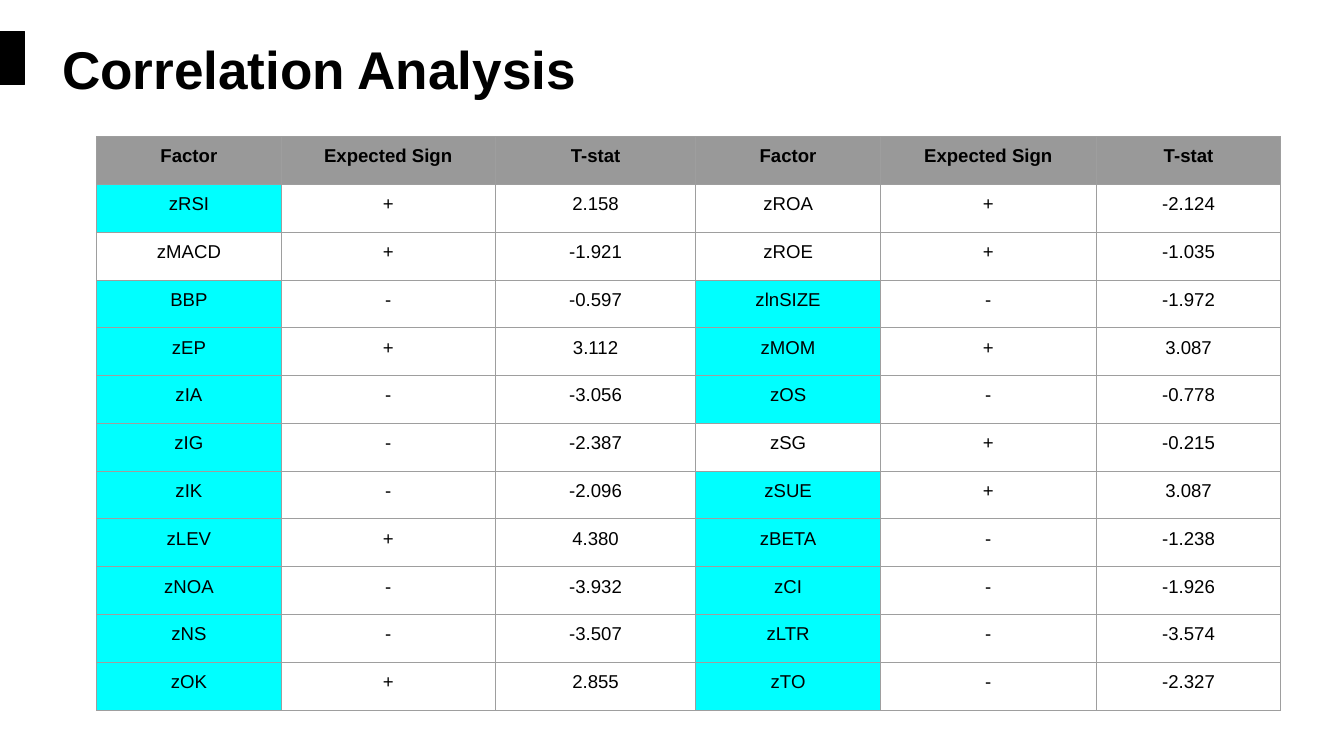
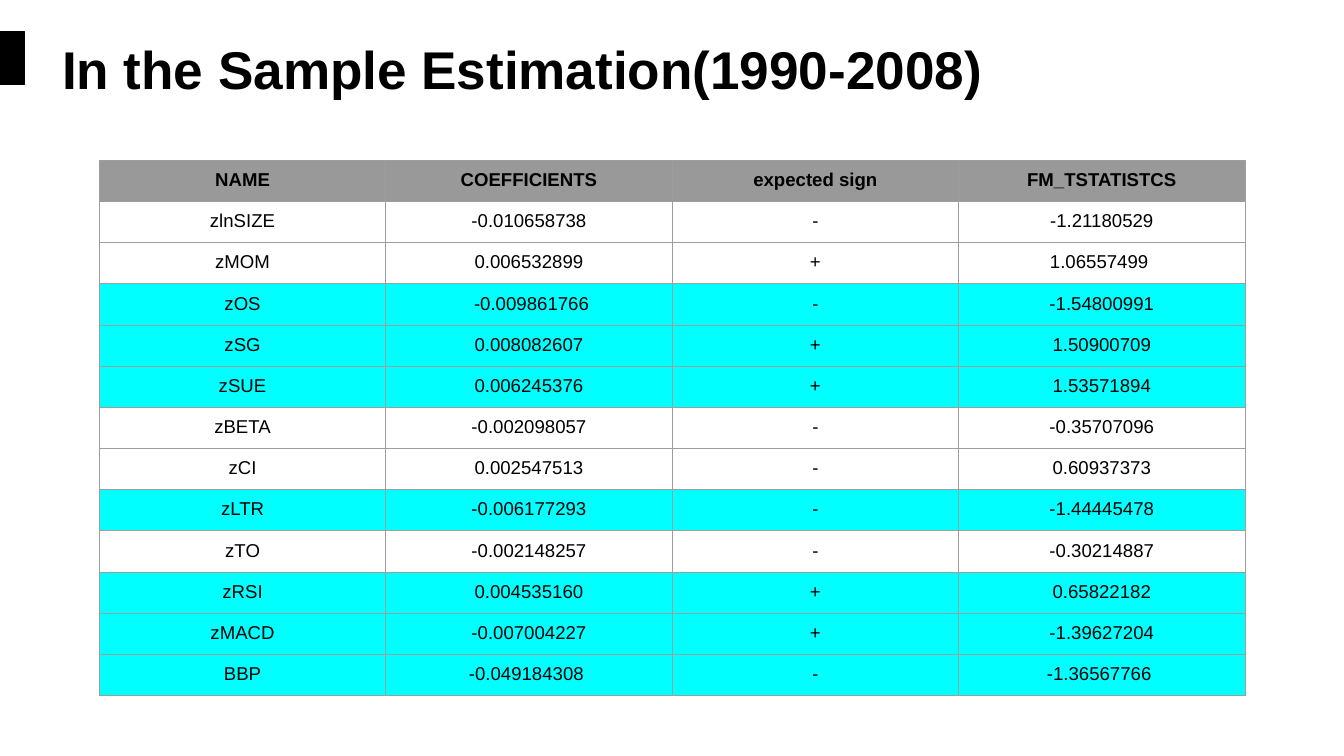
from pptx import Presentation
from pptx.dml.color import RGBColor
from pptx.enum.shapes import MSO_SHAPE
from pptx.enum.text import MSO_ANCHOR, PP_ALIGN
from pptx.oxml import parse_xml
from pptx.oxml.ns import nsdecls
from pptx.util import Cm, Pt

BLACK, GREY, CYAN, BORDER = "000000", "999999", "00FFFF", "9E9E9E"
FONT = "Arial"
INSET = 0.25

SLIDES = [
    {
        "title": "Correlation Analysis",
        "title_width": 16.87,
        "left": 2.57, "top": 3.63, "row_height": 1.27,
        "widths": [4.9, 5.69, 5.33, 4.9, 5.74, 4.9],
        "header": ["Factor", "Expected Sign", "T-stat"] * 2,
        "rows": [
            ["zRSI", "+", "2.158", "zROA", "+", "-2.124"],
            ["zMACD", "+", "-1.921", "zROE", "+", "-1.035"],
            ["BBP", "-", "-0.597", "zlnSIZE", "-", "-1.972"],
            ["zEP", "+", "3.112", "zMOM", "+", "3.087"],
            ["zIA", "-", "-3.056", "zOS", "-", "-0.778"],
            ["zIG", "-", "-2.387", "zSG", "+", "-0.215"],
            ["zIK", "-", "-2.096", "zSUE", "+", "3.087"],
            ["zLEV", "+", "4.380", "zBETA", "-", "-1.238"],
            ["zNOA", "-", "-3.932", "zCI", "-", "-1.926"],
            ["zNS", "-", "-3.507", "zLTR", "-", "-3.574"],
            ["zOK", "+", "2.855", "zTO", "-", "-2.327"],
        ],
        "marked": {"zRSI", "BBP", "zEP", "zIA", "zIG", "zIK", "zLEV", "zNOA",
                   "zNS", "zOK", "zlnSIZE", "zMOM", "zOS", "zSUE", "zBETA",
                   "zCI", "zLTR", "zTO"},
        "group": 3, "marked_span": 1,
    },
    {
        "title": "In the Sample Estimation(1990-2008)",
        "title_width": 26.67,
        "left": 2.64, "top": 4.26, "row_height": 1.06,
        "widths": [7.61] * 4,
        "header": ["NAME", "COEFFICIENTS", "expected sign", "FM_TSTATISTCS"],
        "rows": [
            ["zlnSIZE", "-0.010658738", "-", "-1.21180529"],
            ["zMOM", "0.006532899", "+", "1.06557499 "],
            ["zOS", " -0.009861766", "-", "-1.54800991"],
            ["zSG", "0.008082607", "+", "1.50900709"],
            ["zSUE", "0.006245376", "+", "1.53571894"],
            ["zBETA", "-0.002098057", "-", "-0.35707096"],
            ["zCI", "0.002547513", "-", "0.60937373"],
            ["zLTR", "-0.006177293", "-", "-1.44445478"],
            ["zTO", "-0.002148257", "-", "-0.30214887"],
            ["zRSI", "0.004535160", "+", "0.65822182"],
            ["zMACD", "-0.007004227", "+", "-1.39627204"],
            ["BBP", "-0.049184308 ", "-", "-1.36567766 "],
        ],
        "marked": {"zOS", "zSG", "zSUE", "zLTR", "zRSI", "zMACD", "BBP"},
        "group": 4, "marked_span": 4,
    },
]


def rgb(value):
    """Return the colour for a hex string."""
    return RGBColor.from_string(value)


def write(tf, text, size, bold, align=PP_ALIGN.LEFT):
    """Write one formatted paragraph into a text frame."""
    p = tf.paragraphs[0]
    p.alignment = align
    r = p.add_run()
    r.text = text
    for name, value in {"name": FONT, "size": Pt(size), "bold": bold}.items():
        setattr(r.font, name, value)
    r.font.color.rgb = rgb(BLACK)


def set_insets(target, top=INSET):
    """Set the four text margins of a cell or text frame."""
    for side in ("left", "right", "bottom"):
        setattr(target, f"margin_{side}", Cm(INSET))
    target.margin_top = Cm(top)


def add_title(s, text, width):
    """Add the black edge marker and the slide title."""
    sp = s.shapes.add_shape(MSO_SHAPE.RECTANGLE, 0, Cm(0.84), Cm(0.66), Cm(1.4))
    sp.shadow.inherit = False
    sp.fill.solid()
    sp.fill.fore_color.rgb = rgb(BLACK)
    sp.line.color.rgb = rgb(BLACK)
    sp.line.width = Pt(1)
    tf = s.shapes.add_textbox(Cm(1.4), Cm(0.58), Cm(width), Cm(1.73)).text_frame
    tf.word_wrap = True
    tf.vertical_anchor = MSO_ANCHOR.TOP
    set_insets(tf, 0.4)
    write(tf, text, 40, True)


def set_borders(cell):
    """Draw a thin line on each side of a cell."""
    tc_pr = cell._tc.get_or_add_tcPr()
    for side in "LRTB":
        tc_pr.append(parse_xml(
            f'<a:ln{side} {nsdecls("a")} w="{Pt(0.75)}"><a:solidFill>'
            f'<a:srgbClr val="{BORDER}"/></a:solidFill></a:ln{side}>'))


def fill_colour(data, row, i, j):
    """Choose the fill of a cell, or None for a plain one."""
    if i == 0:
        return GREY
    start = j - j % data["group"]
    if row[start] in data["marked"] and j - start < data["marked_span"]:
        return CYAN
    return None


def add_data_table(s, data):
    """Add the table with its header, highlights and borders."""
    rows = [data["header"]] + data["rows"]
    widths, height = data["widths"], data["row_height"]
    table = s.shapes.add_table(
        len(rows), len(widths), Cm(data["left"]), Cm(data["top"]),
        Cm(sum(widths)), Cm(height * len(rows))).table
    for column, width in zip(table.columns, widths):
        column.width = Cm(width)
    for i, row in enumerate(rows):
        table.rows[i].height = Cm(height)
        for j, text in enumerate(row):
            cell = table.cell(i, j)
            set_insets(cell)
            set_borders(cell)
            colour = fill_colour(data, row, i, j)
            if colour:
                cell.fill.solid()
                cell.fill.fore_color.rgb = rgb(colour)
            else:
                cell.fill.background()
            write(cell.text_frame, text, 14, i == 0, PP_ALIGN.CENTER)


def main():
    """Build the two slides and save them."""
    prs = Presentation()
    prs.slide_width, prs.slide_height = Cm(35.71), Cm(20.09)
    for data in SLIDES:
        s = prs.slides.add_slide(prs.slide_layouts[6])
        add_title(s, data["title"], data["title_width"])
        add_data_table(s, data)
    prs.save("out.pptx")


if __name__ == "__main__":
    main()
